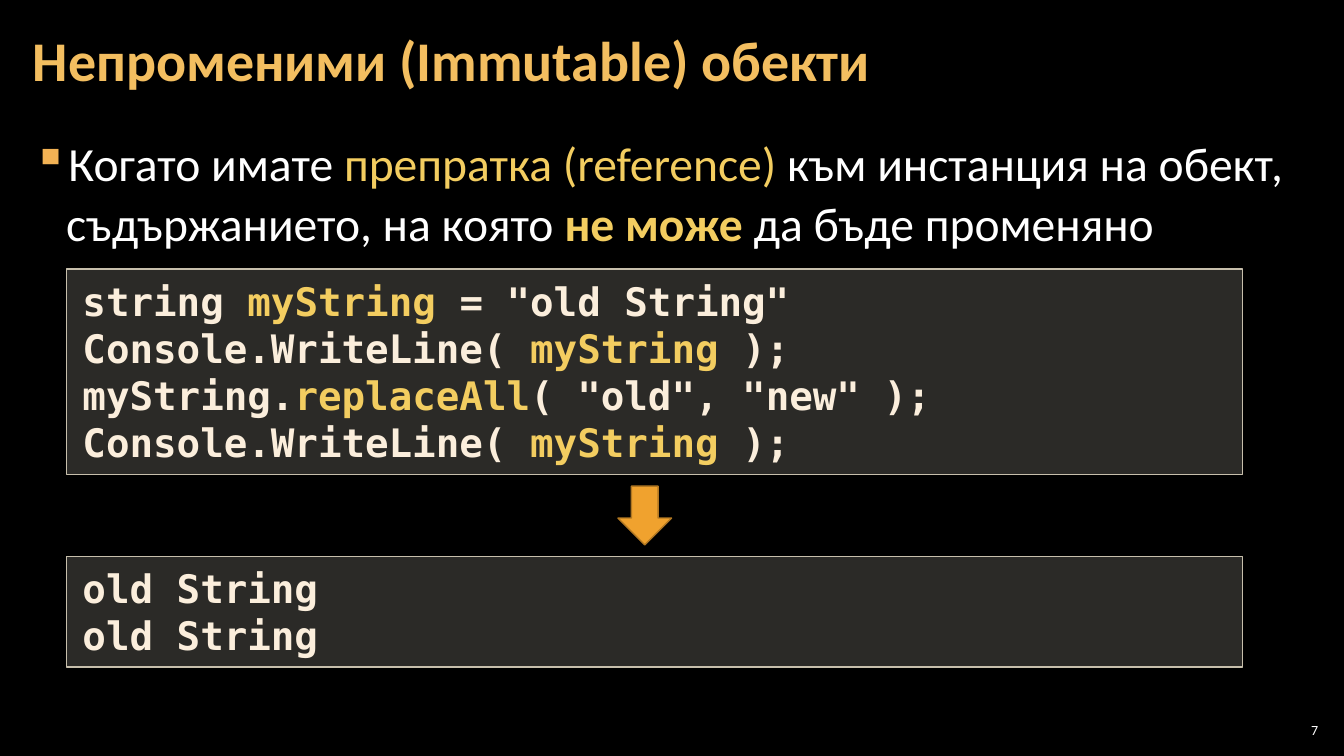
import pptx
import pptx.dml.color
import pptx.enum.shapes
import pptx.enum.text
import pptx.oxml
import pptx.oxml.ns
import pptx.util
from pptx.util import Cm, Pt

COLORS = {
    "background": "000000", "title": "F3BE60", "text": "FFFFFF",
    "accent": "F3CD60", "bullet": "F2B254", "code": "FBEEDC",
    "box": "D9D5C7", "box_line": "C7BFAC",
    "arrow": "F0A22E", "arrow_line": "B27822",
}

# Each paragraph is a list of (text, colour name, bold) runs.
TITLE = [[("Непроменими (Immutable) обекти", "title", True)]]
BODY = [[
    ("Когато имате ", "text", False),
    ("препратка (reference) ", "accent", False),
    ("към инстанция на обект, съдържанието, на която ", "text", False),
    ("не може ", "accent", True),
    ("да бъде променяно", "text", False),
]]
PRINT_LINE = [("Console.WriteLine( ", "code", True),
              ("myString", "accent", True), (" );", "code", True)]
CODE = [
    [("string ", "code", True), ("myString", "accent", True),
     (' = "old String"', "code", True)],
    PRINT_LINE,
    [("myString.", "code", True), ("replaceAll", "accent", True),
     ('( "old", "new" );', "code", True)],
    PRINT_LINE,
]
OUTPUT = [[("old String", "code", True)]] * 2
PAGE = [[("7", "text", False)]]

TEXT_FONT, CODE_FONT = "Calibri", "DejaVu Sans Mono"
SLIDE_W, SLIDE_H = Cm(33.87), Cm(19.05)
MARGIN = Cm(0.53)
BOX_LEFT, BOX_W = Cm(1.68), Cm(29.64)
CODE_TOP, CODE_H = Cm(6.78), Cm(5.18)
OUTPUT_TOP, OUTPUT_H = Cm(14.02), Cm(2.79)
ARROW_W, ARROW_H = Cm(1.35), Cm(1.48)

ANCHOR = pptx.enum.text.MSO_ANCHOR
ALIGN = pptx.enum.text.PP_ALIGN
SHAPE = pptx.enum.shapes.MSO_SHAPE


def rgb(name):
    return pptx.dml.color.RGBColor.from_string(COLORS[name])


def set_all(target, values):
    for name, value in values.items():
        setattr(target, name, value)


def add_xml(parent, tag, **attributes):
    child = pptx.oxml.parse_xml(f"<a:{tag} {pptx.oxml.ns.nsdecls('a')}/>")
    for name, value in attributes.items():
        child.set(name, value)
    parent.append(child)
    return child


def write(sp, paragraphs, font, size, inset, anchor=ANCHOR.TOP, **layout):
    """Fill a shape with coloured runs; layout holds paragraph attributes."""
    tf = sp.text_frame
    side, edge = inset
    set_all(tf, dict(word_wrap=True, vertical_anchor=anchor,
                     margin_left=side, margin_right=side,
                     margin_top=edge, margin_bottom=edge))
    for i, runs in enumerate(paragraphs):
        p = tf.paragraphs[0] if i == 0 else tf.add_paragraph()
        set_all(p, {"alignment": ALIGN.LEFT, **layout})
        for text, color, bold in runs:
            r = p.add_run()
            r.text = text
            set_all(r.font, dict(name=font, size=Pt(size), bold=bold))
            r.font.color.rgb = rgb(color)


def add_text(slide, box, *args, **layout):
    sp = slide.shapes.add_textbox(*box)
    write(sp, *args, **layout)
    return sp


def add_bullet(p):
    pPr = p._p.get_or_add_pPr()
    pPr.set("marL", str(Cm(0.84)))
    pPr.set("indent", str(-Cm(0.84)))
    add_xml(add_xml(pPr, "buClr"), "srgbClr", val=COLORS["bullet"])
    add_xml(pPr, "buChar", char="▪")


def add_shape(slide, kind, box, fill, line):
    sp = slide.shapes.add_shape(kind, *box)
    sp.shadow.inherit = False
    sp.fill.solid()
    sp.fill.fore_color.rgb = rgb(fill)
    sp.line.color.rgb = rgb(line)
    sp.line.width = Pt(1)
    return sp


def add_code_box(slide, top, height, lines):
    sp = add_shape(slide, SHAPE.RECTANGLE, (BOX_LEFT, top, BOX_W, height),
                   "box", "box_line")
    color = sp.fill._xPr.find(".//" + pptx.oxml.ns.qn("a:srgbClr"))
    add_xml(color, "alpha", val="20000")
    write(sp, lines, CODE_FONT, 28, (Cm(0.4), Cm(0.2)))


def main():
    prs = pptx.Presentation()
    prs.slide_width, prs.slide_height = SLIDE_W, SLIDE_H
    slide = prs.slides.add_slide(prs.slide_layouts[6])
    slide.background.fill.solid()
    slide.background.fill.fore_color.rgb = rgb("background")

    inset = (Cm(0.3), Cm(0.1))
    add_text(slide, (Cm(32.13), Cm(18.14), Cm(1.19), Cm(0.53)), PAGE,
             TEXT_FONT, 10, (Cm(0.1), Cm(0.1)), ANCHOR.MIDDLE,
             alignment=ALIGN.RIGHT)
    body = add_text(slide, (MARGIN, Cm(3.2), SLIDE_W - 2 * MARGIN, Cm(15.47)),
                    BODY, TEXT_FONT, 34, inset, line_spacing=1.05,
                    space_before=Pt(6), space_after=Pt(6))
    add_bullet(body.text_frame.paragraphs[0])
    add_text(slide, (MARGIN, Cm(0.1), Cm(26.59), Cm(3.07)), TITLE,
             TEXT_FONT, 40, inset, ANCHOR.MIDDLE, line_spacing=Pt(40))

    add_code_box(slide, CODE_TOP, CODE_H, CODE)
    gap_top = CODE_TOP + CODE_H
    arrow_top = gap_top + (OUTPUT_TOP - gap_top - ARROW_H) // 2
    arrow_left = Cm(16.25) - ARROW_W // 2
    add_shape(slide, SHAPE.DOWN_ARROW,
              (arrow_left, arrow_top, ARROW_W, ARROW_H), "arrow", "arrow_line")
    add_code_box(slide, OUTPUT_TOP, OUTPUT_H, OUTPUT)

    prs.save("out.pptx")


if __name__ == "__main__":
    main()
